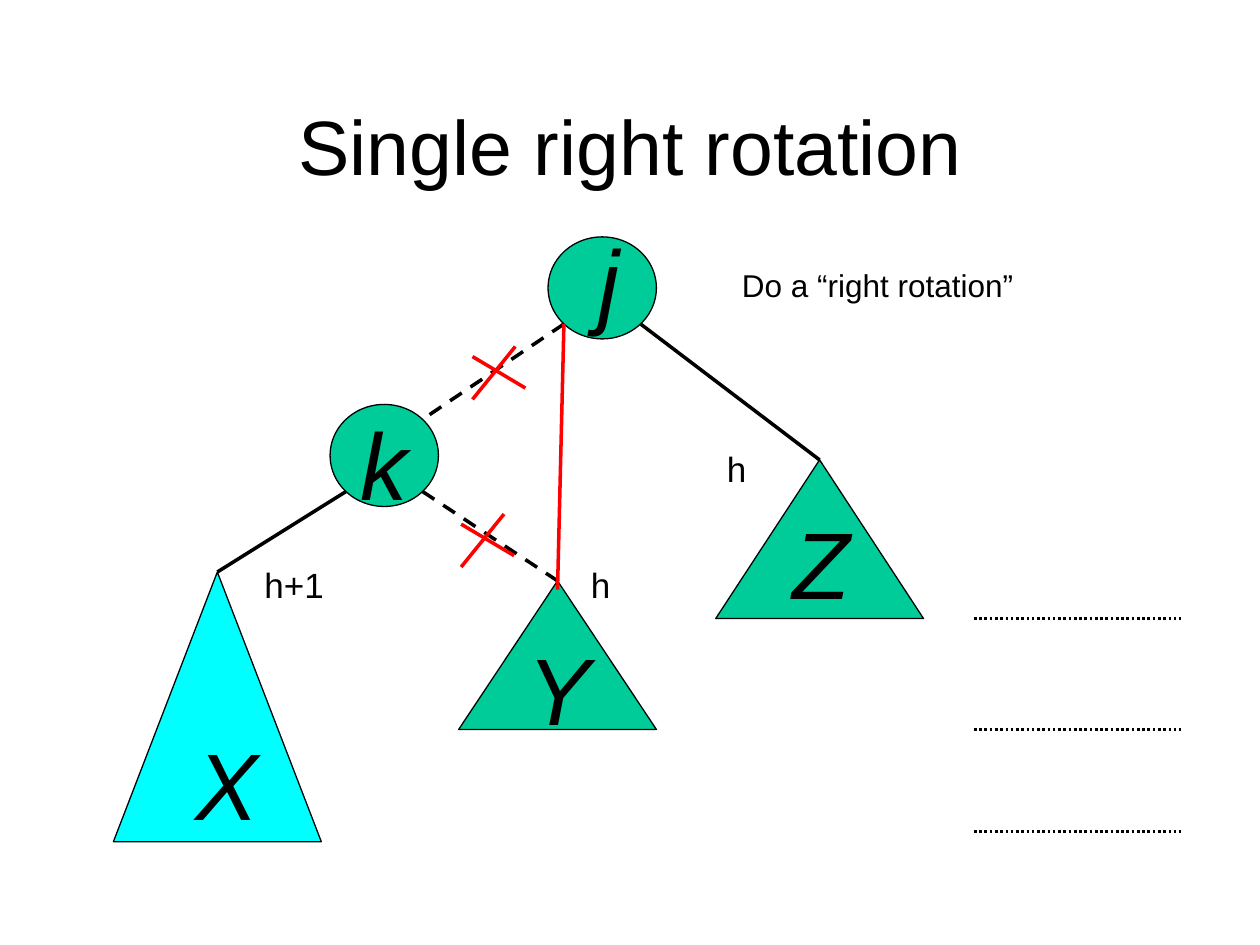
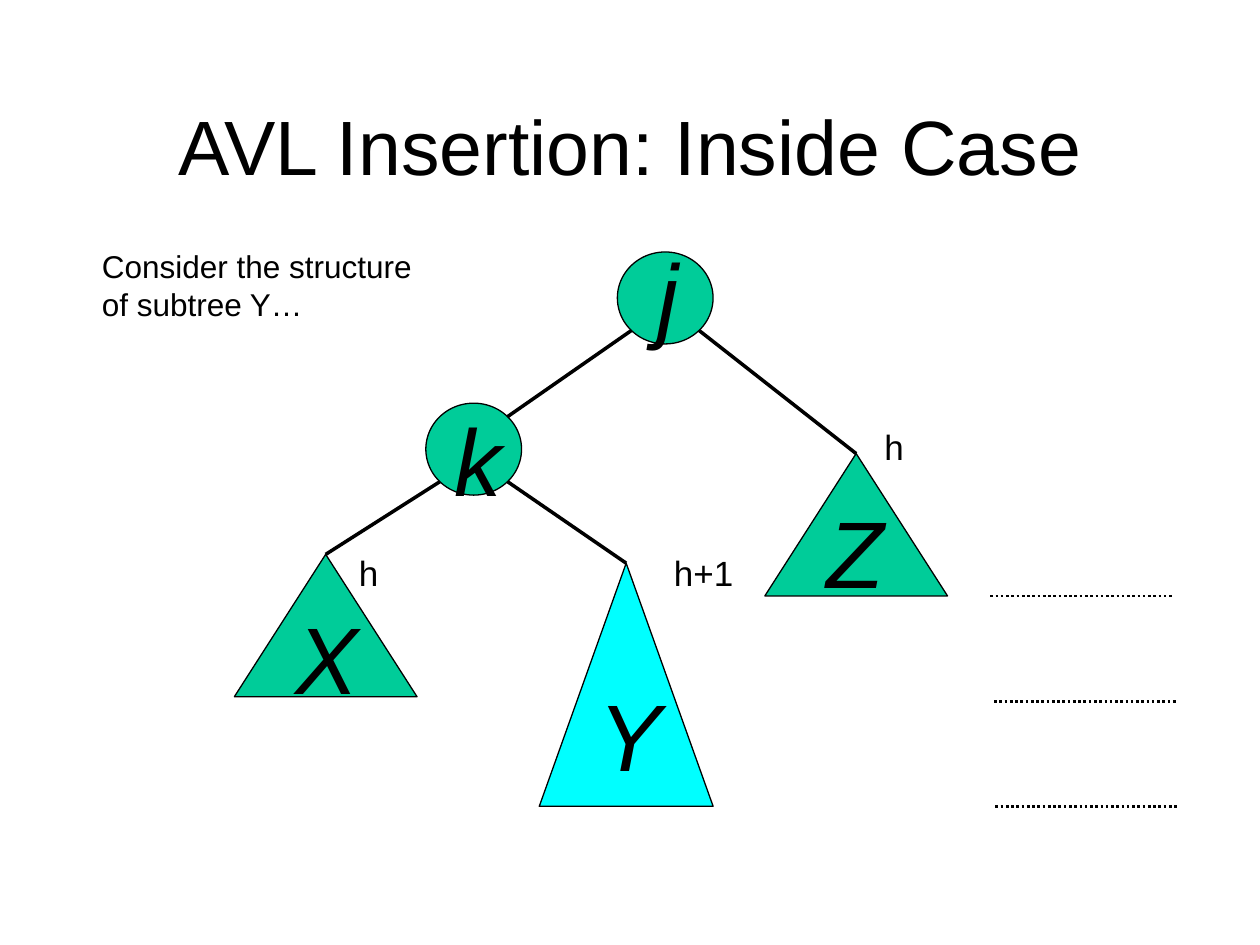
"""Build two slides of AVL tree diagrams: a right rotation and the inside case."""
from math import sqrt

from lxml.etree import SubElement
from pptx import Presentation
from pptx.dml.color import RGBColor
from pptx.enum.dml import MSO_LINE_DASH_STYLE as Dash
from pptx.enum.shapes import MSO_CONNECTOR as Connector, MSO_SHAPE as Shape
from pptx.enum.text import MSO_ANCHOR as Anchor, PP_ALIGN as Align
from pptx.oxml.ns import qn
from pptx.util import Inches, Pt

BLACK = RGBColor(0x00, 0x00, 0x00)
RED = RGBColor(0xFF, 0x00, 0x00)
GREEN = RGBColor(0x00, 0xCC, 0x99)
CYAN = RGBColor(0x00, 0xFF, 0xFF)
FONT = "Arial"
TITLE_BOX = (0.73, 0.71, 8.55, 0.88)
LABEL_HEIGHT = 0.44
CROSS_STROKES = [((0, 0.08), (0.42, 0.33)), ((0.34, 0), (0, 0.42))]

SLIDES = [
    {
        "title": "Single right rotation",
        "note": ("Do a “right rotation”", (5.79, 2.06, 2.37, 0.41)),
        "circle_size": (0.86, 0.81),
        "circles": {"j": (4.35, 1.88), "k": (2.62, 3.21)},
        "subtrees": {
            "X": ((0.9, 4.54, 1.65, 2.14), CYAN),
            "Y": ((3.64, 4.61, 1.57, 1.18), GREEN),
            "Z": ((5.68, 3.65, 1.65, 1.26), GREEN),
        },
        "letter_width": 0.53,
        "letters": {"j": (4.65, 1.65), "k": (2.76, 3.1), "X": (1.45, 5.64),
                    "Y": (4.09, 4.89), "Z": (6.19, 3.89)},
        "heights": [("h", 5.67, 3.5), ("h+1", 2, 4.42), ("h", 4.59, 4.42)],
        "cut_edges": ["jk", "kY"],
        "new_edges": ["jY"],
        "crosses": [(3.75, 2.75), (3.66, 4.08)],
        "level_length": 1.64,
        "levels": [(7.73, 4.91), (7.73, 5.79), (7.73, 6.6)],
    },
    {
        "title": "AVL Insertion: Inside Case",
        "note": ("Consider the structure\nof subtree Y…", (0.71, 1.91, 2.68, 0.71)),
        "circle_size": (0.76, 0.73),
        "circles": {"j": (4.9, 2), "k": (3.38, 3.2)},
        "subtrees": {
            "X": ((1.86, 4.4, 1.45, 1.13), GREEN),
            "Y": ((4.28, 4.47, 1.38, 1.93), CYAN),
            "Z": ((6.07, 3.6, 1.45, 1.13), GREEN),
        },
        "letter_width": 0.46,
        "letters": {"j": (5.12, 1.76), "k": (3.51, 3.07), "X": (2.25, 4.64),
                    "Y": (4.65, 5.25), "Z": (6.46, 3.8)},
        "heights": [("h", 6.92, 3.33), ("h+1", 5.25, 4.33), ("h", 2.75, 4.33)],
        "cut_edges": [],
        "new_edges": [],
        "crosses": [],
        "level_length": 1.45,
        "levels": [(7.86, 4.73), (7.89, 5.57), (7.9, 6.4)],
    },
]
EDGES = {"jk": -1, "jZ": 1, "kX": -1, "kY": 1}


def add_text(page, text, frame, size, italic=False, align=Align.LEFT,
             anchor=Anchor.TOP, wrap=True, top_inset=0.05, bottom_inset=0.05):
    box = page.shapes.add_textbox(*map(Inches, frame))
    body = box.text_frame
    body.word_wrap = wrap
    body.vertical_anchor = anchor
    body.margin_top, body.margin_bottom = Inches(top_inset), Inches(bottom_inset)
    for index, line in enumerate(text.split("\n")):
        para = body.add_paragraph() if index else body.paragraphs[0]
        para.alignment = align
        span = para.add_run()
        span.text = line
        span.font.name, span.font.size = FONT, Pt(size)
        span.font.italic = italic
        span.font.color.rgb = BLACK


def add_node(page, kind, frame, fill):
    node = page.shapes.add_shape(kind, *map(Inches, frame))
    node.shadow.inherit = False
    node.fill.solid()
    node.fill.fore_color.rgb = fill
    node.line.color.rgb = BLACK
    node.line.width = Pt(0.75)
    return node


def add_line(page, start, end, color=BLACK, width=2, dash=None):
    line = page.shapes.add_connector(Connector.STRAIGHT, *map(Inches, (*start, *end)))
    line.line.color.rgb = color
    line.line.width = Pt(width)
    if dash:
        line.line.dash_style = dash
    SubElement(line.element.spPr, qn("a:effectLst"))
    return line


def circle_corner(corner, size, right, down):
    """Return the point of a circle on its diagonal, each direction being -1 or 1."""
    return tuple(start + length / 2 * (1 + side / sqrt(2))
                 for start, length, side in zip(corner, size, (right, down)))


def draw_tree(page, tree):
    circles, size = tree["circles"], tree["circle_size"]
    for corner in circles.values():
        add_node(page, Shape.OVAL, (*corner, *size), GREEN)
    triangles = {name: add_node(page, Shape.ISOSCELES_TRIANGLE, frame, fill)
                 for name, (frame, fill) in tree["subtrees"].items()}
    apexes = {name: (left + width / 2, top)
              for name, ((left, top, width, _), _) in tree["subtrees"].items()}

    for (parent, child), side in EDGES.items():
        start = circle_corner(circles[parent], size, side, 1)
        end = apexes[child] if child in apexes else circle_corner(circles[child], size, 1, -1)
        dash = Dash.DASH if parent + child in tree["cut_edges"] else None
        edge = add_line(page, start, end, dash=dash)
        if child in triangles:
            edge.end_connect(triangles[child], 0)

    for parent, child in tree["new_edges"]:
        left, top = apexes[child]
        add_line(page, circle_corner(circles[parent], size, -1, 1), (left, top + 0.07), RED)
    for left, top in tree["crosses"]:
        for stroke in CROSS_STROKES:
            add_line(page, *[(left + right, top + down) for right, down in stroke], RED)

    for letter, corner in tree["letters"].items():
        add_text(page, letter, (*corner, tree["letter_width"], 1), 54, italic=True,
                 top_inset=0.12, bottom_inset=0)


def build_page(deck, content):
    page = deck.slides.add_slide(deck.slide_layouts[6])
    add_text(page, content["title"], TITLE_BOX, 44, align=Align.CENTER, anchor=Anchor.MIDDLE)
    draw_tree(page, content)
    note, frame = content["note"]
    add_text(page, note, frame, 18, wrap=False)
    for label, left, top in content["heights"]:
        width = 0.35 if label == "h" else 0.67
        add_text(page, label, (left, top, width, LABEL_HEIGHT), 20, wrap=False)
    for left, top in content["levels"]:
        add_line(page, (left, top), (left + content["level_length"], top),
                 width=1.5, dash=Dash.ROUND_DOT)


def main():
    deck = Presentation()
    deck.slide_width, deck.slide_height = Inches(10), Inches(7.5)
    for content in SLIDES:
        build_page(deck, content)
    deck.save("out.pptx")


if __name__ == "__main__":
    main()
